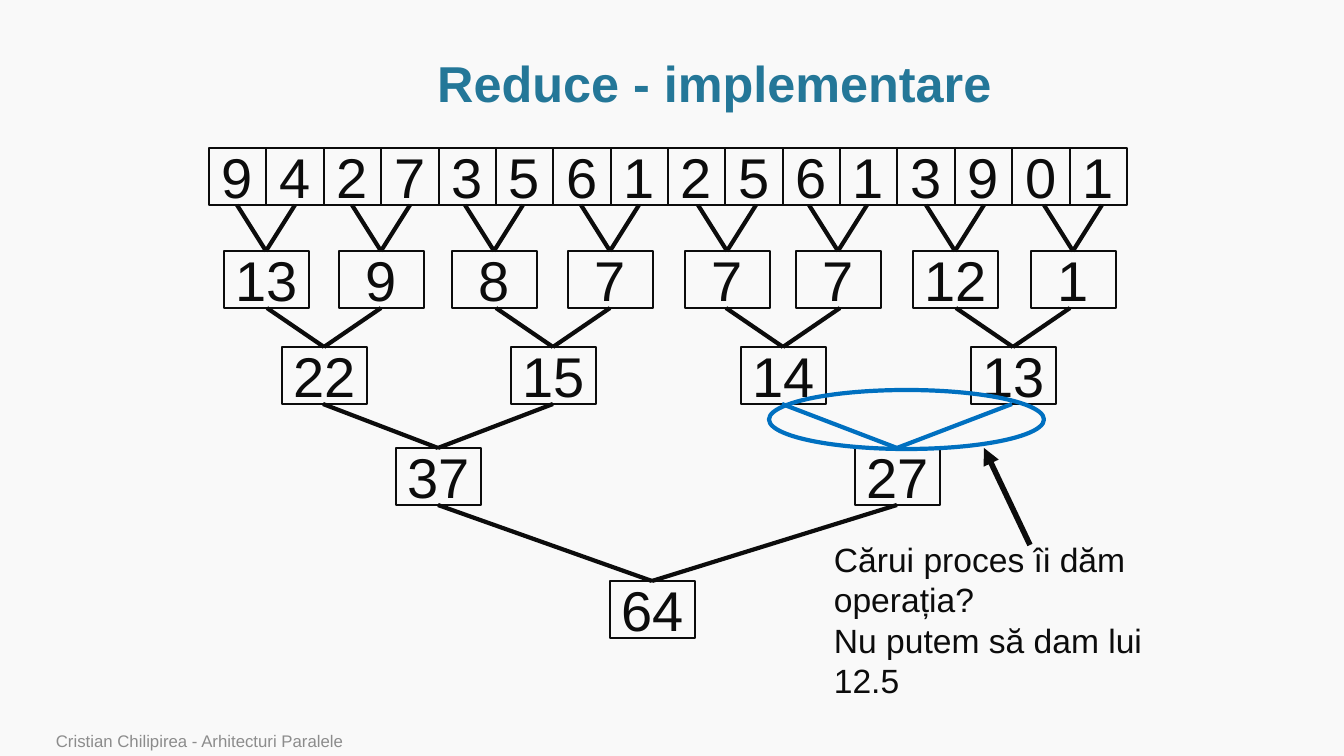
"""Build the slide showing a parallel reduce as a tree of sums."""
from lxml.etree import SubElement
from pptx import Presentation
from pptx.dml.color import RGBColor
from pptx.enum.shapes import MSO_CONNECTOR, MSO_SHAPE
from pptx.enum.text import MSO_ANCHOR, MSO_AUTO_SIZE, PP_ALIGN
from pptx.oxml.ns import qn
from pptx.util import Pt

PX = 914400 / 100.8
COLORS = {"background": "F9F9F9", "title": "247798", "ink": "0C0C0C",
          "highlight": "0070C0", "footer": "8C8C8C"}
BOX_WIDTH, BOX_HEIGHT = 85, 57
ARRAY_LEFT, ARRAY_TOP, ARRAY_WIDTH = 209, 148, 918


def color(name):
    return RGBColor.from_string(COLORS[name])


def px(*lengths):
    return [round(length * PX) for length in lengths]


prs = Presentation()
prs.slide_width, prs.slide_height = px(1344, 756)
slide = prs.slides.add_slide(prs.slide_layouts[5])
slide.background.fill.solid()
slide.background.fill.fore_color.rgb = color("background")
shapes = slide.shapes

title = shapes.title
title.left, title.top, title.width, title.height = px(115, 51, 1199, 70)
title.text_frame.auto_size = MSO_AUTO_SIZE.NONE

footer = shapes.add_textbox(*px(46, 728, 990, 28))
question = shapes.add_textbox(*px(824, 534, 343, 173))

texts = [
    (title, ["Reduce - implementare"], 36, "title", MSO_ANCHOR.MIDDLE, PP_ALIGN.CENTER),
    (footer, ["Cristian Chilipirea - Arhitecturi Paralele"], 12, "footer",
     MSO_ANCHOR.BOTTOM, PP_ALIGN.LEFT),
    (question, ["Cărui proces îi dăm operația?", "Nu putem să dam lui 12.5"], 24, "ink",
     MSO_ANCHOR.TOP, PP_ALIGN.LEFT),
]

numbers = [9, 4, 2, 7, 3, 5, 6, 1, 2, 5, 6, 1, 3, 9, 0, 1]
cell_edges = [ARRAY_LEFT + round(ARRAY_WIDTH * i / len(numbers))
              for i in range(len(numbers) + 1)]
boxes = [(number, left, ARRAY_TOP, right - left)
         for number, left, right in zip(numbers, cell_edges, cell_edges[1:])]

levels = [
    (251, 29, 29, {266: 13, 381: 9, 494: 8, 610: 7, 727: 7, 838: 7, 955: 12, 1073: 1}),
    (347, 57, 57, {324: 22, 553: 15, 783: 14, 1013: 13}),
    (448, 115, 115, {438: 37, 897: 27}),
    (581, 214, 245, {652: 64}),
]
links = []
above = ARRAY_TOP
for top, reach_left, reach_right, sums in levels:
    for center, total in sums.items():
        boxes.append((total, center - BOX_WIDTH // 2, top, BOX_WIDTH))
        link_color = "highlight" if total == 27 else "ink"
        for start in (center - reach_left, center + reach_right):
            links.append((start, above + BOX_HEIGHT, center, top, link_color, 3))
    above = top

for value, left, top, width in boxes:
    box = shapes.add_shape(MSO_SHAPE.RECTANGLE, *px(left, top, width, BOX_HEIGHT))
    box.shadow.inherit = False
    box.fill.background()
    box.line.color.rgb = color("ink")
    box.line.width = Pt(1)
    texts.append((box, [str(value)], 40, "ink", MSO_ANCHOR.MIDDLE, PP_ALIGN.CENTER))

links.append((1030, 545, 984, 448, "ink", 4))
for *ends, link_color, weight in links:
    link = shapes.add_connector(MSO_CONNECTOR.STRAIGHT, *px(*ends))
    link.line.color.rgb = color(link_color)
    link.line.width = Pt(weight)
    SubElement(link._element.spPr, qn("a:effectLst"))
question_arrow = link
SubElement(question_arrow.line._get_or_add_ln(), qn("a:tailEnd"), type="triangle")

highlight = shapes.add_shape(MSO_SHAPE.OVAL, *px(769, 390, 275, 59))
highlight.shadow.inherit = False
highlight.fill.background()
highlight.line.color.rgb = color("highlight")
highlight.line.width = Pt(3)

for holder, lines, size, text_color, anchor, align in texts:
    frame = holder.text_frame
    frame.text = "\n".join(lines)
    frame.word_wrap = True
    frame.vertical_anchor = anchor
    for paragraph in frame.paragraphs:
        paragraph.alignment = align
        paragraph.font.name = "Arial"
        paragraph.font.size = Pt(size)
        paragraph.font.color.rgb = color(text_color)

heading = title.text_frame.paragraphs[0]
heading.font.bold = True
heading.line_spacing = 0.9

prs.save("out.pptx")
